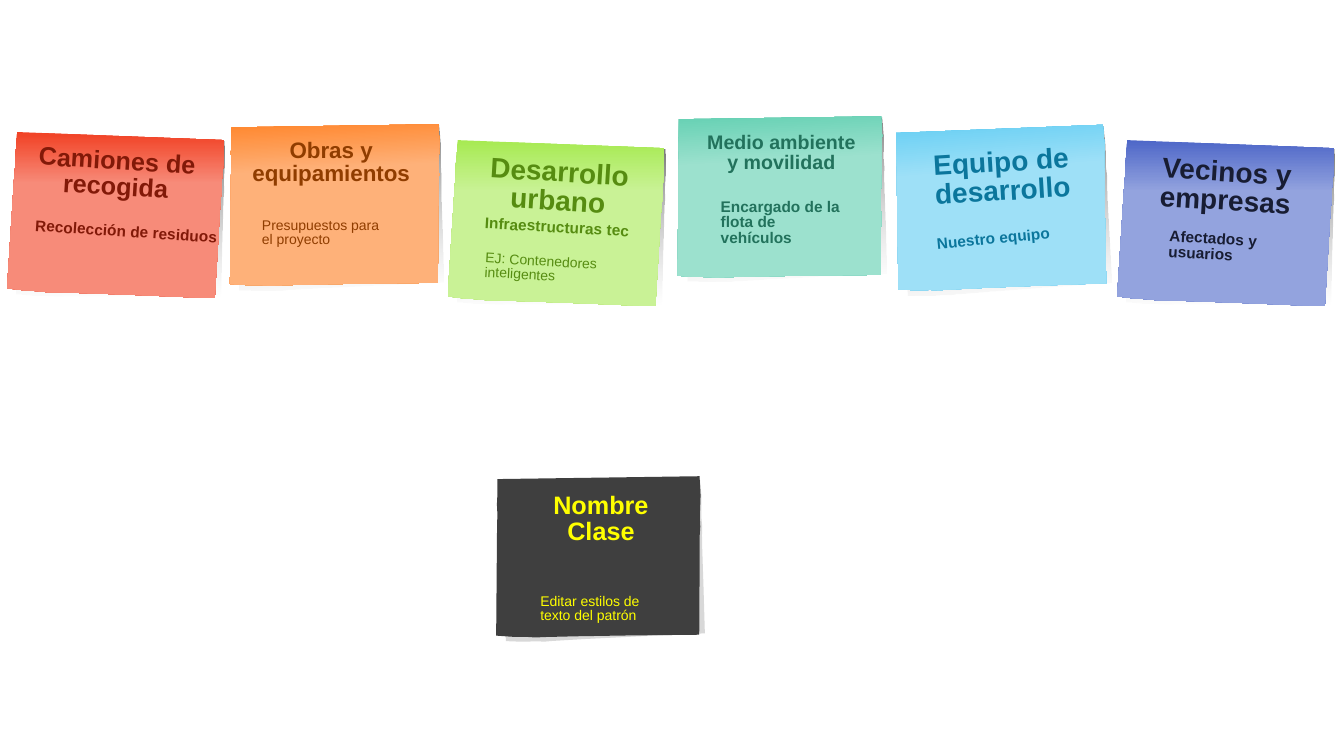
from pptx import Presentation
from pptx import util as u
from pptx.dml.color import RGBColor
from pptx.enum import text as t
from pptx.oxml import parse_xml
from pptx.oxml.ns import nsdecls, qn

PX = 9144
HUES = {
    "red": "F14124", "rose": "F78B79", "maroon": "821908",
    "orange": "FF8021", "peach": "FEB179", "brown": "903D00",
    "lime": "A7EA52", "pale": "C9F296", "olive": "568C11",
    "teal": "5DCEAF", "mint": "9CE1CE", "pine": "22725C",
    "sky": "5ECCF3", "ice": "9EE0F7", "ocean": "0B769C",
    "blue": "4E67C8", "lilac": "93A3DE", "navy": "181D33",
    "coal": "3F3F3F", "silver": "D8D8D8", "yellow": "FFFF00",
    "black": "000000", "grey": "949494",
}
EDGE = [
    (215, 8), (215, 27), (214, 38), (213, 48), (213, 58), (212, 66),
    (211, 80), (209, 116), (206, 165), (135, 162), (82, 160), (48, 159),
    (40, 159), (32, 158), (16, 157), (0, 155), (7, 46), (8, 35),
    (8, 25), (9, 16), (10, 0),
]
SHADE = [(0, "black", 58), (100, "grey", 0)]

deck = Presentation()
deck.slide_width, deck.slide_height = 1333 * PX, 750 * PX
slide = deck.slides.add_slide(deck.slide_layouts[6])


def add_sheet(box, turn, stops):
    pen = slide.shapes.build_freeform(*EDGE[0], scale=PX)
    pen.add_line_segments(EDGE[1:], close=True)
    sheet = pen.convert_to_shape()
    for key, val in zip(("left", "top", "width", "height"), box):
        setattr(sheet, key, val * PX)
    sheet.rotation = turn
    sheet.shadow.inherit = False
    sheet.line.fill.background()
    if isinstance(stops, str):
        sheet.fill.solid()
        sheet.fill.fore_color.rgb = RGBColor.from_string(HUES[stops])
        return
    sheet.fill.background()
    marks = "".join(
        f'<a:gs pos="{pos * 1000}"><a:srgbClr val="{HUES[hue]}">'
        f'<a:alpha val="{alpha * 1000}"/></a:srgbClr></a:gs>'
        for pos, hue, alpha in stops)
    grad = parse_xml(
        f'<a:gradFill {nsdecls("a")} rotWithShape="1"><a:gsLst>{marks}</a:gsLst>'
        '<a:lin ang="5400000" scaled="0"/></a:gradFill>')
    props = sheet._element.spPr
    props.replace(props.find(qn("a:noFill")), grad)


notes = [
    (7, 131, 215, 0, "red", "rose"),
    (224, 121, 215, 356.9, "orange", "peach"),
    (444, 139, 215, 0, "lime", "pale"),
    (668, 113, 210, 356.9, "teal", "mint"),
    (885, 124, 215, 355.5, "sky", "ice"),
    (1108, 139, 215, 0, "blue", "lilac"),
    (488, 470, 210, 356.9, "coal", None),
]
for left, top, wide, turn, hue, tint in notes:
    paint = [(0, hue, 100), (31, tint, 100), (100, tint, 100)] if tint else hue
    add_sheet((left + 7, top + 5, wide - 4, 162), (turn - 2) % 360,
              SHADE if tint else "silver")
    add_sheet((left, top, wide, 165), turn, paint)

MID, LEFT = t.PP_ALIGN.CENTER, t.PP_ALIGN.LEFT
labels = [
    ("Camiones de recogida", 23, 143, 185, 58, 3.5, 18, "maroon", True, MID),
    ("Obras y equipamientos", 235, 134, 187, 55, 0, 16, "brown", True, MID),
    ("Desarrollo urbano", 461, 153, 187, 56, 3.5, 20, "olive", True, MID),
    ("Medio ambiente y movilidad", 689, 128, 172, 57, 0, 14, "pine", True, MID),
    ("Equipo de desarrollo", 902, 143, 183, 56, 356.6, 20, "ocean", True, MID),
    ("Vecinos y empresas", 1121, 153, 191, 53, 3.6, 20, "navy", True, MID),
    ("Presupuestos para el proyecto", 250, 212, 149, 42, 0, 10, "brown", False, LEFT),
    ("Recolección de residuos", 25, 218, 206, 21, 3.7, 11, "maroon", True, LEFT),
    ("Infraestructuras tec", 471, 214, 178, 22, 3.3, 11, "olive", True, LEFT),
    ("EJ: Contenedores inteligentes", 471, 249, 176, 42, 3.3, 10, "olive", False, LEFT),
    ("Encargado de la flota de vehículos", 705, 193, 144, 22, 0, 11, "pine", True, LEFT),
    ("Nuestro equipo", 919, 224, 149, 22, 354.5, 11, "ocean", True, LEFT),
    ("Afectados y usuarios", 1150, 226, 149, 22, 3.4, 11, "navy", True, LEFT),
    ("Nombre Clase", 510, 485, 172, 57, 0, 18, "yellow", True, MID),
    ("Editar estilos de texto del patrón", 526, 585, 149, 42, 0, 10, "yellow", False, LEFT),
]
for words, left, top, wide, high, turn, size, hue, bold, side in labels:
    box = slide.shapes.add_textbox(left * PX, top * PX, wide * PX, high * PX)
    box.rotation = turn
    frame = box.text_frame
    frame.word_wrap = True
    frame.vertical_anchor = t.MSO_ANCHOR.TOP
    para = frame.paragraphs[0]
    para.alignment, para.line_spacing = side, 0.85
    run = para.add_run()
    run.text = words
    style = {"name": "Arial", "size": u.Pt(size), "bold": bold}
    for key, val in style.items():
        setattr(run.font, key, val)
    run.font.color.rgb = RGBColor.from_string(HUES[hue])

deck.save("out.pptx")
